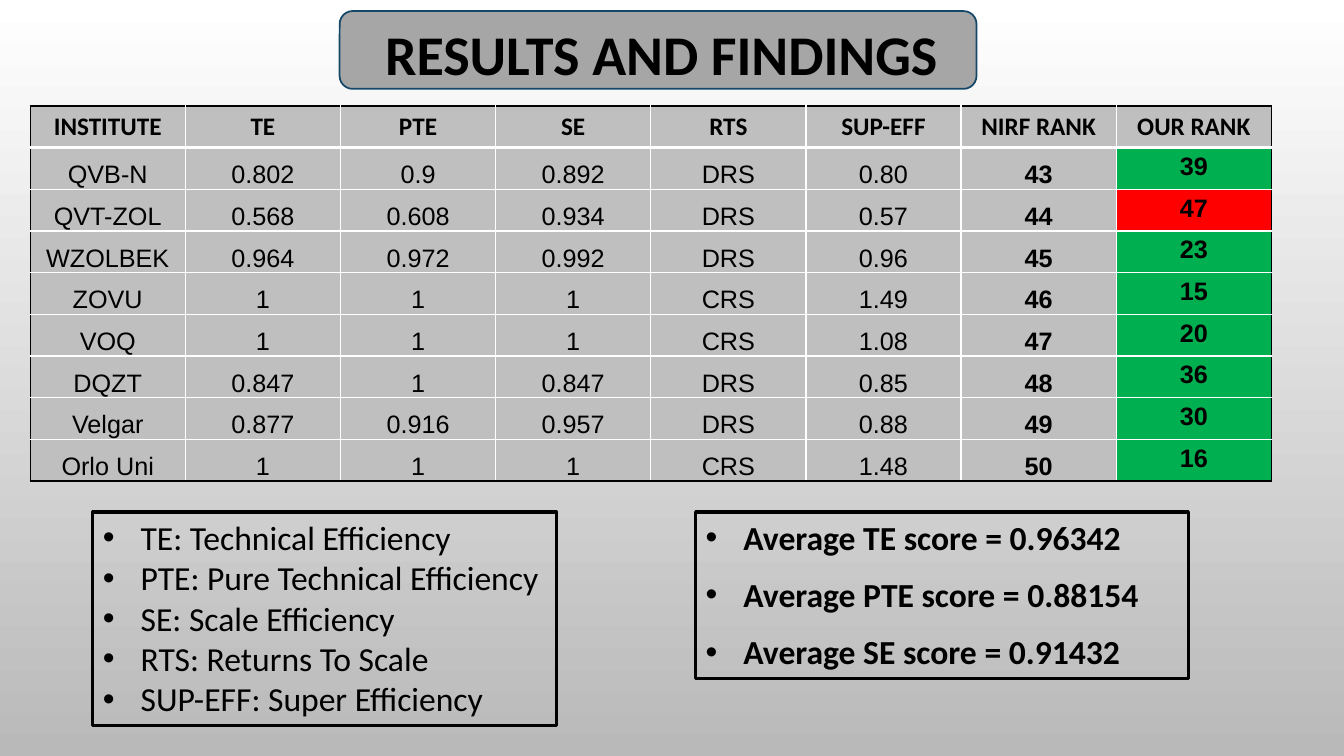
from lxml import etree
from pptx import Presentation
from pptx.dml.color import RGBColor
from pptx.enum.shapes import MSO_SHAPE
from pptx.enum.text import MSO_ANCHOR, MSO_AUTO_SIZE, PP_ALIGN
from pptx.oxml.ns import qn
from pptx.util import Cm, Pt

ROUNDED = MSO_SHAPE.ROUNDED_RECTANGLE
TOP, BOTTOM = MSO_ANCHOR.TOP, MSO_ANCHOR.BOTTOM
LEFT, CENTER = PP_ALIGN.LEFT, PP_ALIGN.CENTER
NO_FIT = MSO_AUTO_SIZE.NONE

# Content
TITLE = "RESULTS AND FINDINGS"
HEADERS = ["INSTITUTE", "TE", "PTE", "SE", "RTS", "SUP-EFF", "NIRF RANK", "OUR RANK"]
RESULTS = [
    ("QVB-N", "0.802", "0.9", "0.892", "DRS", "0.80", "43", "39"),
    ("QVT-ZOL", "0.568", "0.608", "0.934", "DRS", "0.57", "44", "47"),
    ("WZOLBEK", "0.964", "0.972", "0.992", "DRS", "0.96", "45", "23"),
    ("ZOVU", "1", "1", "1", "CRS", "1.49", "46", "15"),
    ("VOQ", "1", "1", "1", "CRS", "1.08", "47", "20"),
    ("DQZT", "0.847", "1", "0.847", "DRS", "0.85", "48", "36"),
    ("Velgar", "0.877", "0.916", "0.957", "DRS", "0.88", "49", "30"),
    ("Orlo Uni", "1", "1", "1", "CRS", "1.48", "50", "16"),
]
GLOSSARY = [
    "TE: Technical Efficiency",
    "PTE: Pure Technical Efficiency",
    "SE: Scale Efficiency",
    "RTS: Returns To Scale",
    "SUP-EFF: Super Efficiency",
]
AVERAGES = [
    "Average TE score = 0.96342",
    "Average PTE score = 0.88154",
    "Average SE score = 0.91432",
]

# Colours and sizes
BLACK, WHITE = "000000", "FFFFFF"
BACKGROUND_END, BANNER_GREY, BANNER_EDGE = "B9B9B9", "A6A6A6", "154768"
CELL_GREY, BETTER, WORSE = "BFBFBF", "00B050", "FF0000"
COLUMN_WIDTH, ROW_HEIGHT = 3.91, 1.05
BULLET_INDENT = Cm(0.95)


def color(value):
    return RGBColor.from_string(value)


def place(shape, left, top, width, height):
    shape.left, shape.top = Cm(left), Cm(top)
    shape.width, shape.height = Cm(width), Cm(height)


def outline(shape, value, points):
    shape.line.color.rgb = color(value)
    shape.line.width = Pt(points)


def write(para, text, size, font="Calibri", bold=False, align=CENTER, space=0):
    para.alignment = align
    para.line_spacing = 1.0
    para.space_before = para.space_after = Pt(space)
    span = para.add_run()
    span.text = text
    span.font.name, span.font.size, span.font.bold = font, Pt(size), bold
    span.font.color.rgb = color(BLACK)


def prepare_frame(shape):
    frame = shape.text_frame
    frame.word_wrap = True
    frame.auto_size = NO_FIT
    frame.vertical_anchor = TOP
    return frame


def add_borders(cell, edges):
    properties = cell._tc.get_or_add_tcPr()
    for tag, (value, points) in edges.items():
        line = etree.SubElement(properties, qn(f"a:{tag}"), w=str(Pt(points)))
        fill = etree.SubElement(line, qn("a:solidFill"))
        etree.SubElement(fill, qn("a:srgbClr"), val=value)


def fill_list(box, items, bold, space):
    outline(box, BLACK, 2.25)
    frame = prepare_frame(box)
    for number, item in enumerate(items):
        para = frame.add_paragraph() if number else frame.paragraphs[0]
        write(para, item, 24, bold=bold, align=LEFT, space=space)
        properties = para._p.get_or_add_pPr()
        properties.set("marL", str(BULLET_INDENT))
        properties.set("indent", str(-BULLET_INDENT))
        etree.SubElement(properties, qn("a:buFont"), typeface="Arial")
        etree.SubElement(properties, qn("a:buChar"), char="•")


deck = Presentation()
deck.slide_width, deck.slide_height = Cm(33.87), Cm(19.05)
page = deck.slides.add_slide(deck.slide_layouts.get_by_name("Two Content"))
title, glossary_box, averages_box = page.placeholders

# Background
backdrop = page.background.fill
backdrop.gradient()
backdrop.gradient_angle = 270
for stop, value in zip(backdrop.gradient_stops, (WHITE, BACKGROUND_END)):
    stop.color.rgb = color(value)

# Title on its banner
banner = page.shapes.add_shape(ROUNDED, Cm(8.56), Cm(0.28), Cm(16.05), Cm(1.96))
banner.shadow.inherit = False
banner.fill.solid()
banner.fill.fore_color.rgb = color(BANNER_GREY)
outline(banner, BANNER_EDGE, 1.25)
title.element.addprevious(banner.element)
place(title, 8.18, 0.36, 16.97, 1.96)
write(prepare_frame(title).paragraphs[0], TITLE, 40, bold=True)

# Results table
rows = [HEADERS, *RESULTS]
last_row, last_column = len(rows) - 1, len(HEADERS) - 1
table = page.shapes.add_table(
    len(rows), len(HEADERS), Cm(0.76), Cm(2.67),
    Cm(COLUMN_WIDTH * len(HEADERS)), Cm(ROW_HEIGHT * len(rows)),
).table
for column in table.columns:
    column.width = Cm(COLUMN_WIDTH)
for r, values in enumerate(rows):
    table.rows[r].height = Cm(ROW_HEIGHT)
    for c, text in enumerate(values):
        cell = table.cell(r, c)
        is_header, is_our_rank = r == 0, c == last_column
        header_rule = (WHITE, 3)
        add_borders(cell, {
            "lnL": (BLACK if c == 0 else WHITE, 1),
            "lnR": (BLACK if is_our_rank else WHITE, 1),
            "lnT": (BLACK, 1) if is_header else header_rule if r == 1 else (WHITE, 1),
            "lnB": header_rule if is_header else (BLACK if r == last_row else WHITE, 1),
        })
        shade = CELL_GREY
        if is_our_rank and not is_header:
            shade = BETTER if int(text) < int(values[-2]) else WORSE
        cell.fill.solid()
        cell.fill.fore_color.rgb = color(shade)
        if not is_header and not is_our_rank:
            cell.vertical_anchor = BOTTOM
            cell.margin_left = cell.margin_right = cell.margin_top = Cm(0.03)
            cell.margin_bottom = 0
        write(cell.text_frame.paragraphs[0], text, 18,
              font="Calibri" if is_header else "Arial",
              bold=is_header or c >= last_column - 1)

# Glossary and average scores
place(glossary_box, 2.34, 12.9, 11.68, 5.38)
fill_list(glossary_box, GLOSSARY, bold=False, space=0)
place(averages_box, 17.53, 12.9, 12.42, 4.19)
fill_list(averages_box, AVERAGES, bold=True, space=6)

deck.save("out.pptx")
